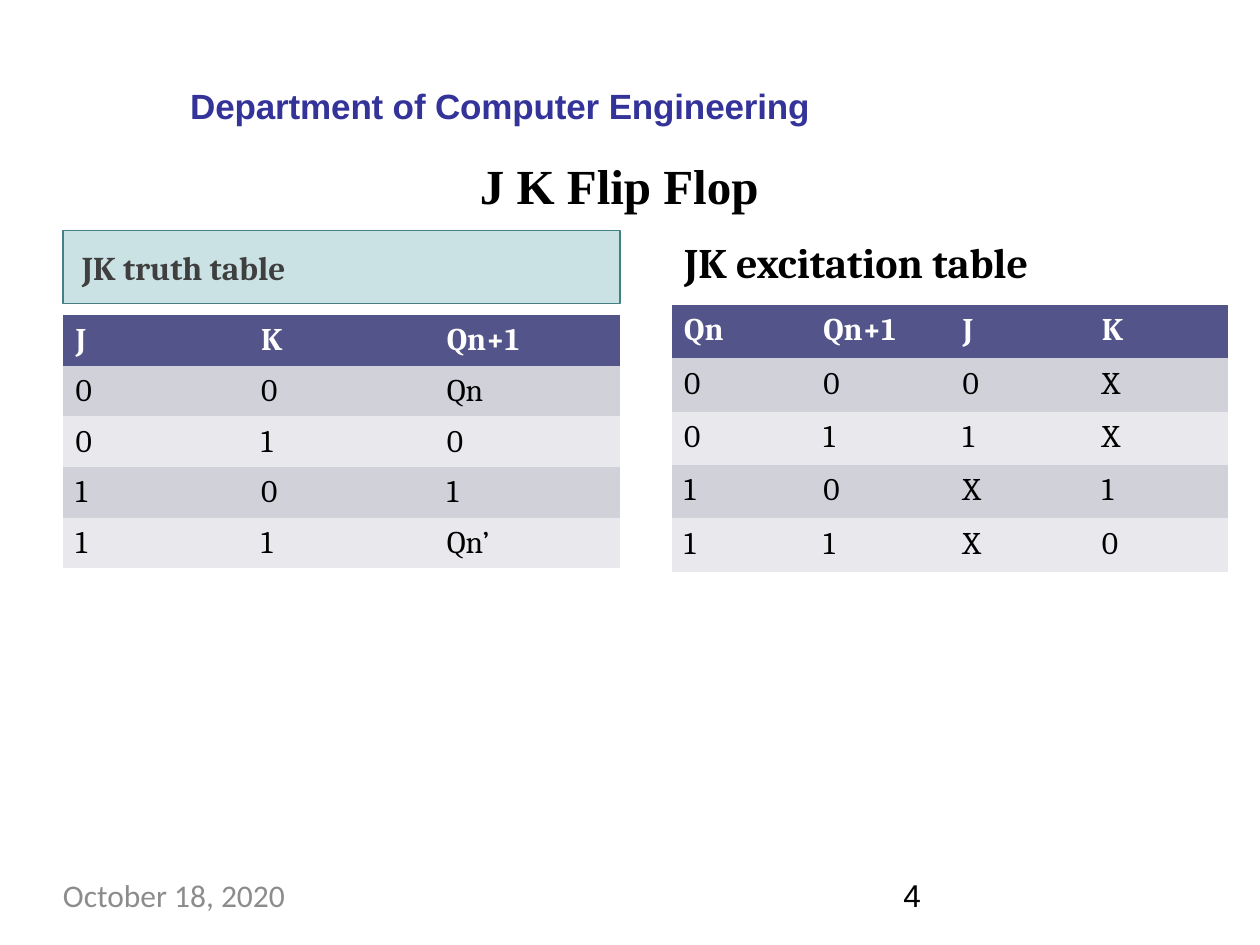
from lxml.etree import SubElement
from pptx import Presentation
from pptx.dml.color import RGBColor
from pptx.enum.text import MSO_ANCHOR, MSO_AUTO_SIZE, PP_ALIGN
from pptx.oxml.ns import qn
from pptx.util import Emu, Pt

PX = 9144  # EMU per px, 100 px to the inch
COMPARISON_LAYOUT = 4
PLAIN_TABLE_STYLE = "{2D5ABB26-0587-4C30-8999-92F81FD0307C}"
COLORS = {
    "black": "000000", "white": "FFFFFF", "dark": "3F3F3F", "grey": "8C8C8C",
    "navy": "333399", "teal": "328E97", "teal_line": "438086",
    "header": "53548A", "odd_row": "D1D1DA", "even_row": "E9E9ED",
}


def px(length):
    return Emu(length * PX)


def color(name):
    return RGBColor.from_string(COLORS[name])


def write(frame, text, size, font="Cambria", ink="black", bold=False,
          align=PP_ALIGN.LEFT, anchor=MSO_ANCHOR.TOP, insets=(10, 5, 10, 5),
          indent=0, before=0, line=1.0, tracking=0):
    """Put one formatted paragraph in a text frame or table cell."""
    frame.margin_left, frame.margin_top, frame.margin_right, frame.margin_bottom = map(px, insets)
    frame.vertical_anchor = anchor
    frame.word_wrap = True
    para = getattr(frame, "text_frame", frame).paragraphs[0]
    para.alignment = align
    para.space_before = Pt(before)
    para.line_spacing = line
    if indent:
        properties = para._p.get_or_add_pPr()
        properties.set("marL", str(px(indent)))
        properties.set("indent", "0")
    span = para.add_run()
    span.text = text
    span.font.size = Pt(size)
    span.font.name = font
    span.font.bold = bold
    span.font.color.rgb = color(ink)
    if tracking:
        span.font._element.set("spc", str(tracking))


class SlideBuilder:
    """Holds the current slide and the look of its elements."""
    header_fill = "header"
    row_fills = ("even_row", "odd_row")

    def __init__(self, page):
        self.page = page

    def placeholder(self, index, left, top, width, height, text, **style):
        box = self.page.placeholders[index]
        box.left, box.top, box.width, box.height = map(px, (left, top, width, height))
        box.text_frame.auto_size = MSO_AUTO_SIZE.NONE
        write(box.text_frame, text, **style)
        return box

    def text(self, left, top, width, height, text, **style):
        box = self.page.shapes.add_textbox(*map(px, (left, top, width, height)))
        write(box.text_frame, text, **style)

    def panel(self, box, fill, opacity, line):
        box.fill.solid()
        box.fill.fore_color.rgb = color(fill)
        swatch = box._element.spPr.find(qn("a:solidFill"))[0]
        SubElement(swatch, qn("a:alpha")).set("val", str(opacity * 1000))
        box.line.color.rgb = color(line)
        box.line.width = Pt(1)

    def table(self, left, top, width, height, rows):
        frame = self.page.shapes.add_table(
            len(rows), len(rows[0]), *map(px, (left, top, width, height)))
        table = frame.table
        table._tbl.tblPr.find(qn("a:tableStyleId")).text = PLAIN_TABLE_STYLE
        for i, row in enumerate(rows):
            is_header = i == 0
            fill = self.header_fill if is_header else self.row_fills[i % 2]
            for j, value in enumerate(row):
                cell = table.cell(i, j)
                cell.fill.solid()
                cell.fill.fore_color.rgb = color(fill)
                write_cell(cell, value, is_header)

    def remove_empty_placeholders(self):
        for box in list(self.page.placeholders):
            if not box.text_frame.text:
                box._element.getparent().remove(box._element)


def write_cell(cell, value, is_header):
    cell.margin_left, cell.margin_top, cell.margin_right, cell.margin_bottom = map(px, (10, 6, 10, 5))
    para = cell.text_frame.paragraphs[0]
    para.line_spacing = 0.97
    span = para.add_run()
    span.text = value
    span.font.size = Pt(18)
    span.font.name = "Cambria"
    span.font.bold = is_header
    span.font.color.rgb = color("white" if is_header else "black")


def main():
    deck = Presentation()
    deck.slide_width, deck.slide_height = px(1000), px(750)
    page = deck.slides.add_slide(deck.slide_layouts[COMPARISON_LAYOUT])
    slide = SlideBuilder(page)

    slide.placeholder(0, 33, 117, 917, 59, "J K Flip Flop", size=28, bold=True,
                      font="Times New Roman", align=PP_ALIGN.CENTER, anchor=MSO_ANCHOR.MIDDLE)
    truth_label = slide.placeholder(1, 50, 183, 442, 58, "JK truth table", size=19, ink="dark",
                                    bold=True, anchor=MSO_ANCHOR.MIDDLE, indent=5, before=3)
    slide.panel(truth_label, "teal", 25, "teal_line")
    slide.placeholder(3, 533, 183, 425, 90, "JK excitation table", size=24, bold=True)
    slide.remove_empty_placeholders()

    slide.table(50, 250, 442, 201, [
        ("J", "K", "Qn+1"),
        ("0", "0", "Qn"),
        ("0", "1", "0"),
        ("1", "0", "1"),
        ("1", "1", "Qn’"),
    ])
    slide.table(533, 242, 442, 212, [
        ("Qn", "Qn+1", "J", "K"),
        ("0", "0", "0", "X"),
        ("0", "1", "1", "X"),
        ("1", "0", "X", "1"),
        ("1", "1", "X", "0"),
    ])

    footer = {"size": 18, "insets": (0, 0, 0, 0)}
    slide.text(50, 695, 233, 40, "October 18, 2020", font="Calibri", ink="grey", **footer)
    slide.text(717, 695, 233, 40, "4", font="Arial", **footer)
    slide.text(150, 66, 498, 36, "Department of Computer Engineering", size=20, font="Arial",
               ink="navy", bold=True, insets=(0, 1, 0, 0), indent=1, before=1, tracking=-10)
    deck.save("out.pptx")


if __name__ == "__main__":
    main()
